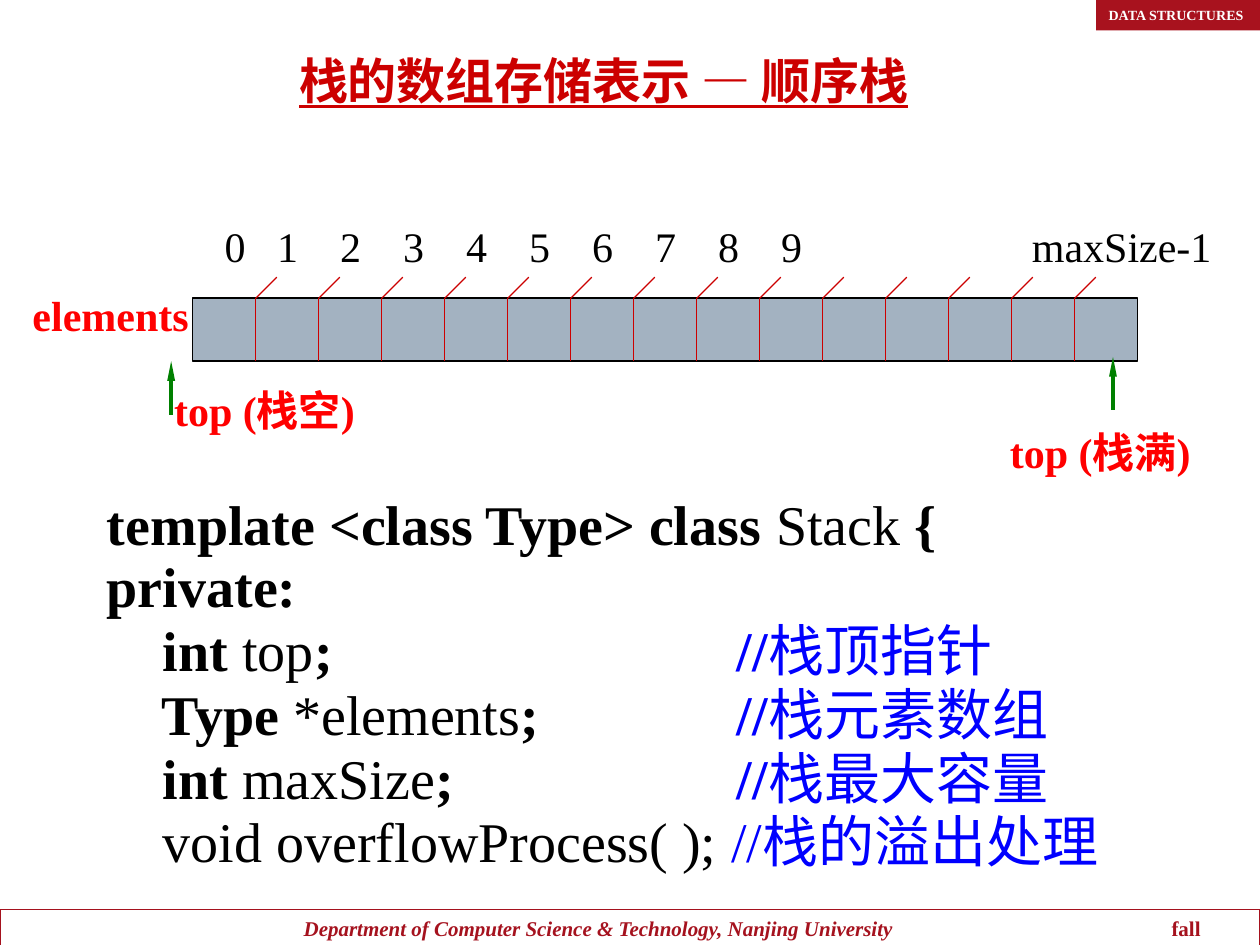
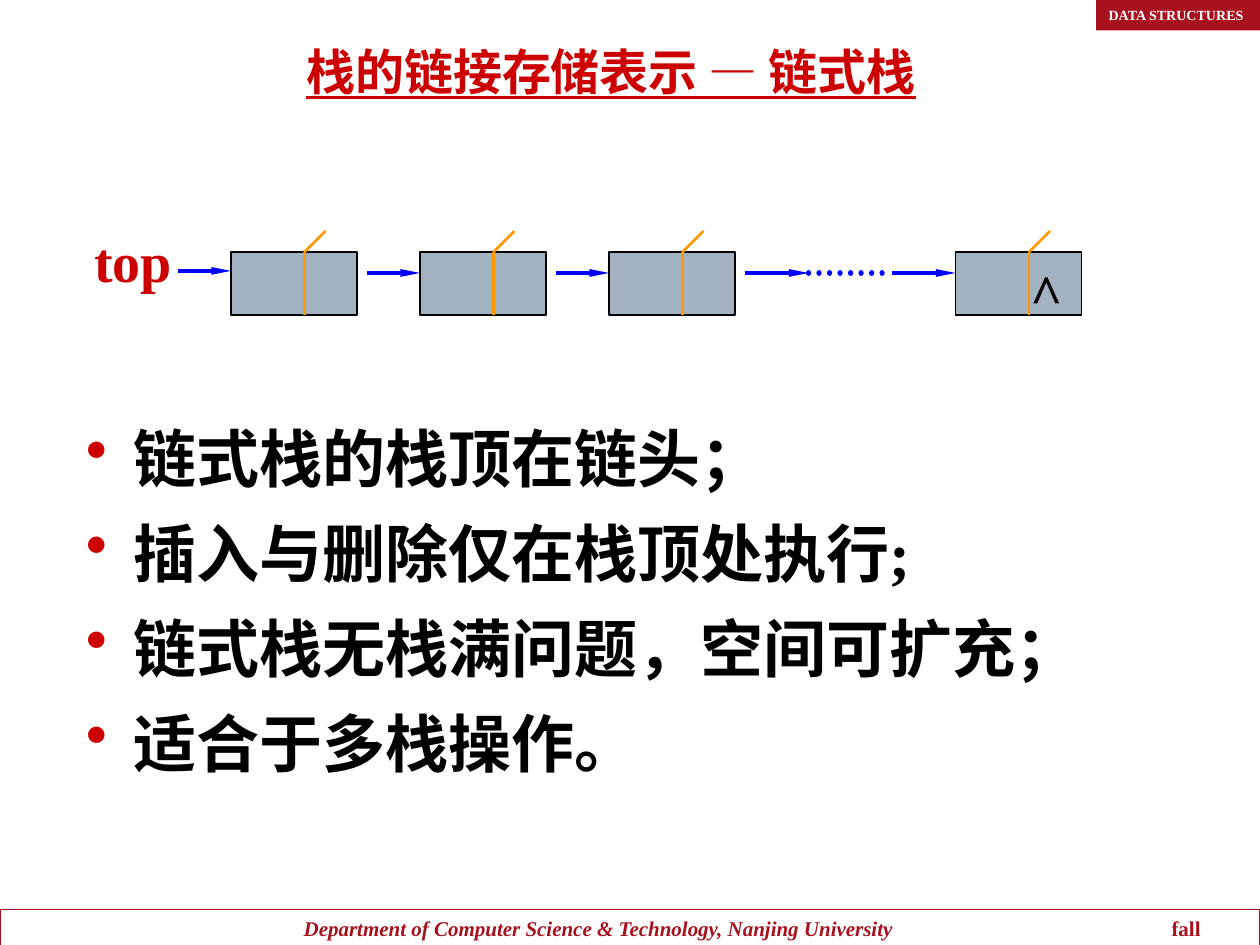
import pptx
import pptx.util
import pptx.dml.color
import pptx.enum.shapes
import pptx.enum.text
import pptx.oxml.ns
from lxml import etree

COLORS = {
    "band": "A8121E", "band_edge": "C81627", "footer": "A5121E", "title": "CC0000",
    "cell": "A3B2C1", "label": "FF0000", "marker": "008000", "comment": "0000FF",
    "divider": "FF9900", "black": "000000", "white": "FFFFFF",
}
FONT = "Times New Roman"
COLUMNS, ROWS = 120, 90  # slide grid, twelve units to the inch
ANCHOR = pptx.enum.text.MSO_ANCHOR
ALIGN = pptx.enum.text.PP_ALIGN
SHAPE = pptx.enum.shapes.MSO_SHAPE.RECTANGLE


def grid(units):
    return pptx.util.Emu(round(units * pptx.util.Inches(1) / 12))


def rgb(name):
    return pptx.dml.color.RGBColor.from_string(COLORS[name])


def style_font(font, size, color, bold=True):
    font.name, font.size, font.bold = FONT, pptx.util.Pt(size), bold
    font.color.rgb = rgb(color)


def add_xml(parent, tag, **attributes):
    return etree.SubElement(parent, pptx.oxml.ns.qn(tag), attributes)


def add_tabs(p, stops):
    """Set left tab stops, in grid units from the text edge."""
    tabs = add_xml(p._p.get_or_add_pPr(), "a:tabLst")
    for stop in stops:
        add_xml(tabs, "a:tab", pos=str(grid(stop)), algn="l")


def add_rect(slide, x, y, w, h, fill=None, line=None):
    sp = slide.shapes.add_shape(SHAPE, *map(grid, (x, y, w, h)))
    sp.shadow.inherit = False
    if fill:
        sp.fill.solid()
        sp.fill.fore_color.rgb = rgb(fill)
    else:
        sp.fill.background()
    if line:
        sp.line.color.rgb, sp.line.width = rgb(line), pptx.util.Pt(0.75)
    else:
        sp.line.fill.background()
    return sp


def add_line(slide, x1, y1, x2, y2, color, width, arrow=False, dotted=False):
    line = slide.shapes.add_connector(
        pptx.enum.shapes.MSO_CONNECTOR.STRAIGHT, *map(grid, (x1, y1, x2, y2)))
    line.line.color.rgb, line.line.width = rgb(color), pptx.util.Pt(width)
    ln = line.line._get_or_add_ln()
    if dotted:
        ln.set("cap", "rnd")
        add_xml(ln, "a:prstDash", val="sysDot")
    if arrow:
        add_xml(ln, "a:tailEnd", type="triangle", w="sm", len="lg")
    add_xml(line._element.spPr, "a:effectLst")


def add_box(slide, x, y, w, h, wrap=True):
    tf = slide.shapes.add_textbox(*map(grid, (x, y, w, h))).text_frame
    tf.word_wrap = wrap
    return tf


def add_label(slide, x, y, w, h, text, size, color, bold=True):
    p = add_box(slide, x, y, w, h, wrap=False).paragraphs[0]
    p.text = text
    style_font(p.font, size, color, bold)


def add_title(slide, x, y, w, h, text):
    tf = add_box(slide, x, y, w, h)
    tf.vertical_anchor = ANCHOR.BOTTOM
    p = tf.paragraphs[0]
    p.text, p.alignment = text, ALIGN.CENTER
    style_font(p.font, 28, "title")
    p.font.underline = True


def add_slide(prs):
    """Add a blank slide with the shared corner band and footer."""
    slide = prs.slides.add_slide(prs.slide_layouts[6])
    footer = add_rect(slide, 0, 86.6, COLUMNS, 3.6, line="footer")
    add_rect(slide, 104.8, 0, 15.6, 2.8, "band_edge")
    band = add_rect(slide, 104.4, 0, 16, 2.9, "band")
    for sp in (footer, band):
        sp.text_frame.vertical_anchor = ANCHOR.MIDDLE
        sp.text_frame.paragraphs[0].alignment = ALIGN.LEFT
    p = footer.text_frame.paragraphs[0]
    add_tabs(p, (27.75, 110.4))
    p.add_run().text = "\tDepartment of Computer Science & Technology, Nanjing University"
    p.runs[0].font.italic = True
    p.add_run().text = "\tfall"
    style_font(p.font, 12, "footer")
    p = band.text_frame.paragraphs[0]
    p.text = "DATA STRUCTURES"
    style_font(p.font, 8, "white")
    return slide


def add_divider(slide, x, y, color, width):
    """Draw a cell divider with a slanted tick above it."""
    add_line(slide, x, y, x, y + 6, color, width)
    add_line(slide, x, y, x + 2, y - 2, color, width)


def add_code(slide, x, y, w, h, lines):
    """Write code lines given as (text, bold, color) runs."""
    tf = add_box(slide, x, y, w, h)
    for i, runs in enumerate(lines):
        p = tf.paragraphs[0] if i == 0 else tf.add_paragraph()
        p.line_spacing = 0.95 if i else 1.0
        add_tabs(p, (60,))
        for text, bold, color in runs:
            r = p.add_run()
            r.text = text
            style_font(r.font, 32, color, bold)


def add_bullets(slide, x, y, w, h, items):
    tf = add_box(slide, x, y, w, h)
    for i, item in enumerate(items):
        p = tf.paragraphs[0] if i == 0 else tf.add_paragraph()
        p.text, p.line_spacing = item, 1.05
        if i:
            p.space_before = pptx.util.Pt(9)
        pPr = p._p.get_or_add_pPr()
        pPr.set("marL", str(grid(4.5)))
        pPr.set("indent", str(-grid(4.5)))
        add_xml(add_xml(pPr, "a:buClr"), "a:srgbClr", val=COLORS["title"])
        add_xml(pPr, "a:buChar", char="•")
        style_font(p.font, 36, "black")


def member(keyword, name, comment):
    return [("    " + keyword, True, "black"), (" " + name, False, "black"),
            (";\t", True, "black"), ("//", True, "comment"), (comment, False, "comment")]


def array_stack_slide(prs):
    slide = add_slide(prs)
    add_title(slide, 3, 3, 109, 8, "栈的数组存储表示 — 顺序栈")
    left, top, cell, cells = 18.36, 28.4, 6, 15
    add_rect(slide, left, top, cell * cells, 6, "cell", "black")
    for i in range(1, cells):
        add_divider(slide, left + i * cell, top, "title", 0.75)
    p = add_box(slide, 20.2, 20.4, 99, 6).paragraphs[0]
    add_tabs(p, [5 + i * cell for i in range(9)] + [76.9])
    p.text = "\t".join([str(i) for i in range(10)] + ["maxSize-1"])
    style_font(p.font, 24, "black", False)

    add_label(slide, 1.92, 27, 17.3, 6, "elements", 24, "label")
    add_line(slide, 16.3, 39.5, 16.3, 34.4, "marker", 2.25, arrow=True)
    add_label(slide, 15.4, 36, 21.5, 6, "top (栈空)", 24, "label")
    add_line(slide, 106, 39, 106, 34, "marker", 2.25, arrow=True)
    add_label(slide, 95, 40, 21.5, 6, "top (栈满)", 24, "label")
    add_code(slide, 9, 46, 101, 38, [
        [("template <class Type> class", True, "black"), (" Stack", False, "black"),
         (" {", True, "black")],
        [("private:", True, "black")],
        member("int", "top", "栈顶指针"),
        member("Type", "*elements", "栈元素数组"),
        member("int", "maxSize", "栈最大容量"),
        [("    void overflowProcess( );", False, "black"),
         (" //栈的溢出处理", False, "comment")],
    ])


def linked_stack_slide(prs):
    slide = add_slide(prs)
    add_title(slide, 7.2, 1.1, 102, 9, "栈的链接存储表示 — 链式栈")
    add_bullets(slide, 7, 39, 99, 35, [
        "链式栈的栈顶在链头；", "插入与删除仅在栈顶处执行;",
        "链式栈无栈满问题，空间可扩充；", "适合于多栈操作。"])
    add_label(slide, 7.8, 21, 9.8, 7.7, "top", 32, "title")
    for x in (22, 40, 58, 91):
        add_rect(slide, x, 24, 12, 6, "cell", "black")
        add_divider(slide, x + 7, 24, "divider", 1.5)
    for start, end, y in ((17, 22, 25.8), (35, 40, 26), (53, 58, 26),
                          (71, 77, 26), (85, 91, 26)):
        add_line(slide, start, y, end, y, "comment", 2.25, arrow=True)
    add_line(slide, 77, 26, 85, 26, "comment", 3, dotted=True)
    add_label(slide, 97, 24, 4, 7.7, "^", 32, "black")


def main():
    prs = pptx.Presentation()
    prs.slide_width, prs.slide_height = grid(COLUMNS), grid(ROWS)
    array_stack_slide(prs)
    linked_stack_slide(prs)
    prs.save("out.pptx")


if __name__ == "__main__":
    main()
